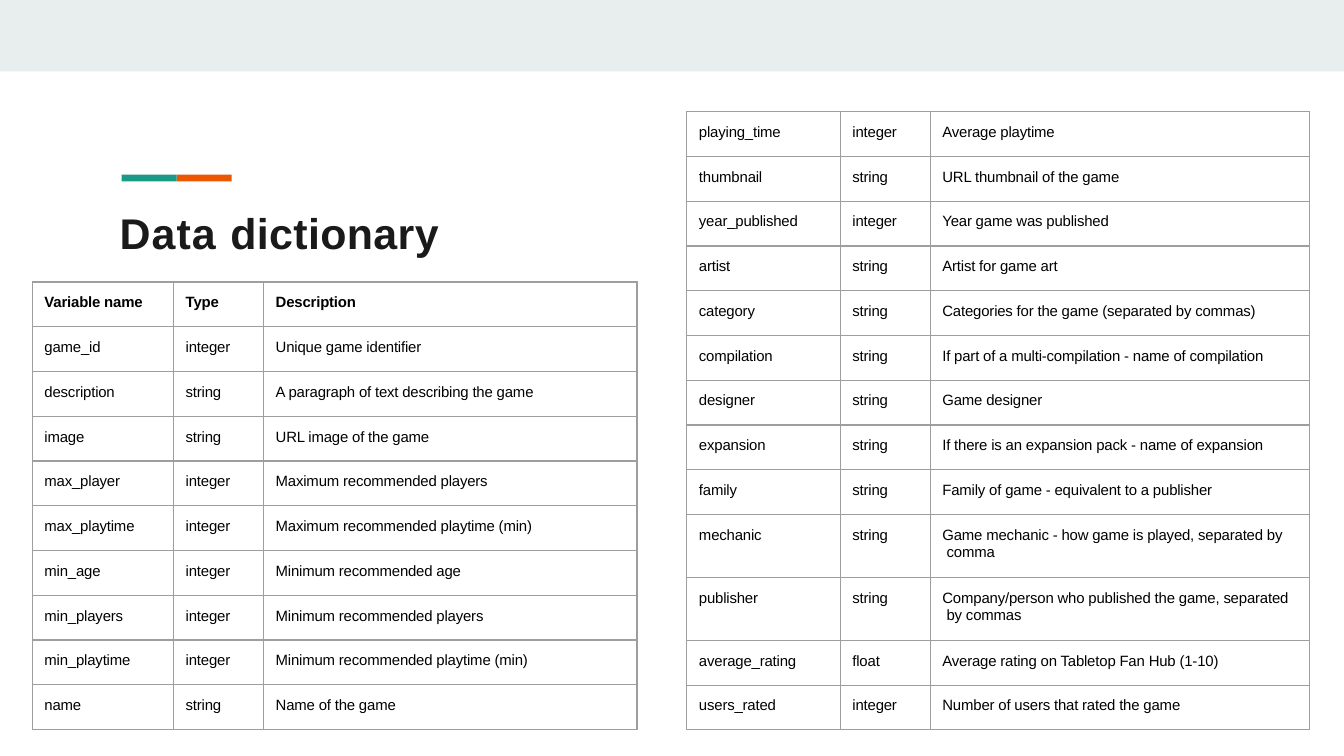
from lxml import etree
from pptx import Presentation
from pptx.dml.color import RGBColor
from pptx.enum.shapes import MSO_SHAPE
from pptx.oxml.ns import qn
from pptx.util import Cm, Pt

RECT = MSO_SHAPE.RECTANGLE
ROW = 8.46 / 10
TALL = 1.19

HEAD = ("Variable name", "Type", "Description")
LEFT = [
    HEAD,
    ("game_id", "integer", "Unique game identifier"),
    ("description", "string", "A paragraph of text describing the game"),
    ("image", "string", "URL image of the game"),
    ("max_player", "integer", "Maximum recommended players"),
    ("max_playtime", "integer", "Maximum recommended playtime (min)"),
    ("min_age", "integer", "Minimum recommended age"),
    ("min_players", "integer", "Minimum recommended players"),
    ("min_playtime", "integer", "Minimum recommended playtime (min)"),
    ("name", "string", "Name of the game"),
]
RIGHT = [
    ("playing_time", "integer", "Average playtime"),
    ("thumbnail", "string", "URL thumbnail of the game"),
    ("year_published", "integer", "Year game was published"),
    ("artist", "string", "Artist for game art"),
    ("category", "string", "Categories for the game (separated by commas)"),
    ("compilation", "string", "If part of a multi-compilation - name of compilation"),
    ("designer", "string", "Game designer"),
    ("expansion", "string", "If there is an expansion pack - name of expansion"),
    ("family", "string", "Family of game - equivalent to a publisher"),
    ("mechanic", "string", "Game mechanic - how game is played, separated by comma"),
    ("publisher", "string", "Company/person who published the game, separated by commas"),
    ("average_rating", "float", "Average rating on Tabletop Fan Hub (1-10)"),
    ("users_rated", "integer", "Number of users that rated the game"),
]


def color(code):
    return RGBColor.from_string(code)


class Deck:
    font = "Arial"
    ink = "000000"
    dark = "1A1A1A"
    grid = "9E9E9E"

    def __init__(self, wide, high):
        self.prs = Presentation()
        self.prs.slide_width, self.prs.slide_height = Cm(wide), Cm(high)
        self.slide = self.prs.slides.add_slide(self.prs.slide_layouts[6])

    def bar(self, x, y, w, h, fill):
        shape = self.slide.shapes.add_shape(RECT, Cm(x), Cm(y), Cm(w), Cm(h))
        shape.shadow.inherit = False
        shape.fill.solid()
        shape.fill.fore_color.rgb = color(fill)
        shape.line.fill.background()

    def words(self, para, parts, size, ink, bold):
        font = para.font
        font.name, font.size, font.bold = self.font, Pt(size), bold
        font.color.rgb = color(ink)
        for text, space in parts:
            run = para.add_run()
            run.text = text
            run._r.get_or_add_rPr().set("spc", str(space))

    def title(self, x, y, w, h, parts):
        frame = self.slide.shapes.add_textbox(Cm(x), Cm(y), Cm(w), Cm(h)).text_frame
        frame.word_wrap = True
        frame.margin_left = frame.margin_right = frame.margin_bottom = 0
        frame.margin_top = Cm(0.05)
        para = frame.paragraphs[0]
        para.space_before = Pt(1.4)
        self.words(para, parts, 23, self.dark, True)

    def border(self, cell):
        props = cell._tc.get_or_add_tcPr()
        for spot, side in enumerate(("lnL", "lnR", "lnT", "lnB")):
            line = etree.Element(qn("a:" + side), w=str(Pt(0.75)))
            fill = etree.SubElement(line, qn("a:solidFill"))
            etree.SubElement(fill, qn("a:srgbClr"), val=self.grid)
            props.insert(spot, line)

    def cell(self, cell, text, bold):
        cell.fill.background()
        self.border(cell)
        cell.margin_left, cell.margin_right = Cm(0.23), Cm(0.15)
        cell.margin_top, cell.margin_bottom = Cm(0.23), 0
        para = cell.text_frame.paragraphs[0]
        props = para._p.get_or_add_pPr()
        props.set("marL", str(Cm(0.08)))
        props.set("indent", str(-Cm(0.08)))
        self.words(para, [(text, -10)], 8, self.ink, bold)

    def table(self, x, y, cols, rows, tall=()):
        highs = [TALL if row[0] in tall else ROW for row in rows]
        table = self.slide.shapes.add_table(
            len(rows), len(cols), Cm(x), Cm(y), Cm(sum(cols)), Cm(sum(highs))
        ).table
        table.first_row = table.horz_banding = False
        for col, wide in zip(table.columns, cols):
            col.width = Cm(wide)
        for r, (row, high) in enumerate(zip(rows, highs)):
            table.rows[r].height = Cm(high)
            for c, text in enumerate(row):
                self.cell(table.cell(r, c), text, row is HEAD)


def main():
    deck = Deck(25.4, 14.29)
    deck.bar(0, 0, 25.4, 1.35, "E8EDED")
    deck.bar(3.34, 3.3, 1.04, 0.13, "EB5600")
    deck.bar(2.3, 3.3, 1.04, 0.13, "1A9987")
    deck.title(2.26, 3.86, 6.1, 1.07, [("Data ", 60), ("dictionary", 20)])
    deck.table(0.61, 5.33, (2.67, 1.7, 7.06), LEFT)
    deck.table(12.98, 2.11, (2.9, 1.7, 7.17), RIGHT, ("mechanic", "publisher"))
    deck.prs.save("out.pptx")


if __name__ == "__main__":
    main()
